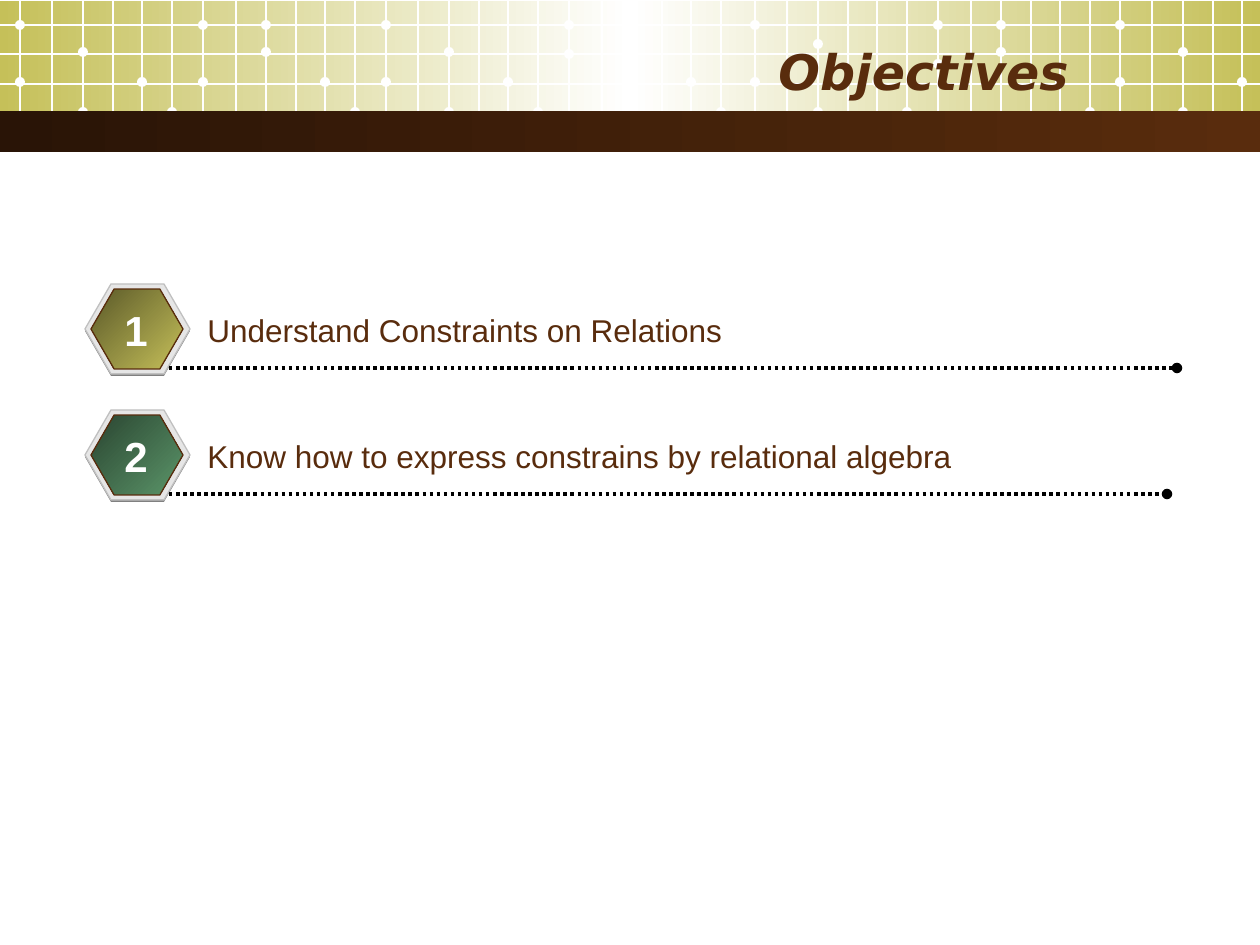
from lxml import etree
from pptx import Presentation
from pptx.dml.color import RGBColor
from pptx.enum import dml, shapes, text
from pptx.oxml.ns import qn
from pptx.util import Pt

SCALE = 914400 / 126
WIDE, HIGH = 1260, 945
HUES = {
    "brown": "592C0D", "dark": "291406", "white": "FFFFFF", "black": "000000",
    "lime": "C5C059", "olive": "5B5929", "green": "5B9569", "pine": "2A4531",
    "grey": "808080", "pale": "E6E6E6", "rim": "C0C0C0",
}
GOALS = [
    # label, label width, rule length, dark and light badge colours
    ("Understand Constraints on Relations", 669, 1008, "olive", "lime"),
    ("Know how to express constrains by relational algebra", 811, 998,
     "pine", "green"),
]
# The net repeats in tiles: column offsets, dots as (column, y), shifted dots
TILES = [20, 386, 755, 1120]
COLS = [0, 32, 63, 93, 122, 152, 183, 216, 246, 276, 305, 335]
ROWS = [25, 54, 84, 112]
DOTS = [(0, 82), (0, 25), (2, 52), (2, 112), (4, 82), (5, 112), (6, 82),
        (6, 25), (8, 52), (8, 25), (10, 82), (11, 112)]
MOVED = {(1, 6, 82): 54, (2, 2, 52): 44, (2, 6, 82): 64}


def px(*nums):
    return [round(n * SCALE) for n in nums]


def hue(name):
    return RGBColor.from_string(HUES[name])


def blend(fill, names, angle):
    """Fill with evenly spaced colours, the angle running clockwise."""
    fill.gradient()
    fill.gradient_angle = -angle % 360
    stops = fill._xPr.find(qn("a:gradFill")).find(qn("a:gsLst"))
    for stop in list(stops):
        stops.remove(stop)
    for i, name in enumerate(names):
        pos = str(100000 * i // (len(names) - 1))
        stop = etree.SubElement(stops, qn("a:gs"), pos=pos)
        etree.SubElement(stop, qn("a:srgbClr"), val=HUES[name])


def draw(parts, kind, box, fill, line=None, angle=0):
    item = parts.add_shape(kind, *px(*box))
    item.shadow.inherit = False
    if isinstance(fill, str):
        item.fill.solid()
        item.fill.fore_color.rgb = hue(fill)
    else:
        blend(item.fill, fill, angle)
    if line:
        item.line.color.rgb = hue(line)
        item.line.width = Pt(0.75)
    else:
        item.line.fill.background()
    return item


def rule(parts, ends, tint, width):
    item = parts.add_connector(shapes.MSO_CONNECTOR.STRAIGHT, *px(*ends))
    item.line.color.rgb = hue(tint)
    item.line.width = Pt(width)
    etree.SubElement(item._element.spPr, qn("a:effectLst"))
    return item


def write(item, words, size, tint="brown", font="Arial", bold=False,
          slant=False, align="LEFT", wrap=True, anchor="TOP"):
    frame = item.text_frame
    frame.word_wrap = wrap
    frame.auto_size = text.MSO_AUTO_SIZE.NONE
    frame.vertical_anchor = text.MSO_ANCHOR[anchor]
    para = frame.paragraphs[0]
    para.alignment = text.PP_ALIGN[align]
    run = para.add_run()
    run.text = words
    run.font.name = font
    run.font.size = Pt(size)
    run.font.bold = bold
    run.font.italic = slant
    run.font.color.rgb = hue(tint)


def net(parts):
    """White grid lines with dots on some crossings."""
    for t, start in enumerate(TILES):
        for col in COLS:
            if start + col < WIDE:
                rule(parts, (start + col, 0, start + col, 139), "white", 0.75)
        for col, y in DOTS:
            x = start + COLS[col]
            if x < WIDE:
                y = MOVED.get((t, col, y), y)
                draw(parts, shapes.MSO_SHAPE.OVAL, (x - 5, y - 5, 10, 10),
                     "white")
    for y in ROWS:
        rule(parts, (0, y, WIDE, y), "white", 0.75)


def header(slide, words):
    rect = shapes.MSO_SHAPE.RECTANGLE
    draw(slide.shapes, rect, (0, 1, WIDE, 129), ("lime", "white", "lime"))
    net(slide.shapes.add_group_shape().shapes)
    draw(slide.shapes, rect, (0, 111, WIDE, 41), ("dark", "brown"))
    # The title goes in front of the band
    title = slide.shapes.title
    slide.shapes._spTree.append(title._element)
    title.left, title.top, title.width, title.height = px(63, 32, 1018, 78)
    write(title, words, 28, font="DejaVu Sans", bold=True, slant=True,
          align="RIGHT", anchor="MIDDLE")


def badge(parts, x, y, tints):
    """Hexagon with a shade, a rim and a blended face."""
    for dx, dy, w, h, fill, line in [
        (0, 2, 105, 90, "grey", None),
        (0, 0, 105, 90, "pale", "rim"),
        (6, 5, 92, 80, tints, "brown"),
    ]:
        item = draw(parts, shapes.MSO_SHAPE.HEXAGON, (x + dx, y + dy, w, h),
                    fill, line, angle=45)
        item.adjustments[0] = 0.289


def goal(slide, x, y, num, label, wide, length, *tints):
    parts = slide.shapes
    badge(parts.add_group_shape().shapes, x, y, tints)
    # Dotted rule ending in a round dot
    line = rule(parts, (x + 84, y + 84, x + 84 + length, y + 84), "black", 2)
    line.line.dash_style = dml.MSO_LINE.ROUND_DOT
    etree.SubElement(line.line._get_or_add_ln(), qn("a:tailEnd"), type="oval")
    # Label and number
    write(parts.add_textbox(*px(x + 110, y + 21, wide, 50)), label, 18)
    write(parts.add_textbox(*px(x + 27, y + 14, 48, 63)), str(num), 24,
          tint="white", bold=True, align="CENTER", wrap=False)


def main():
    deck = Presentation()
    deck.slide_width, deck.slide_height = px(WIDE, HIGH)
    slide = deck.slides.add_slide(deck.slide_layouts[5])
    header(slide, "Objectives")
    for i, row in enumerate(GOALS):
        goal(slide, 85, 284 + 126 * i, i + 1, *row)
    deck.save("out.pptx")


if __name__ == "__main__":
    main()
